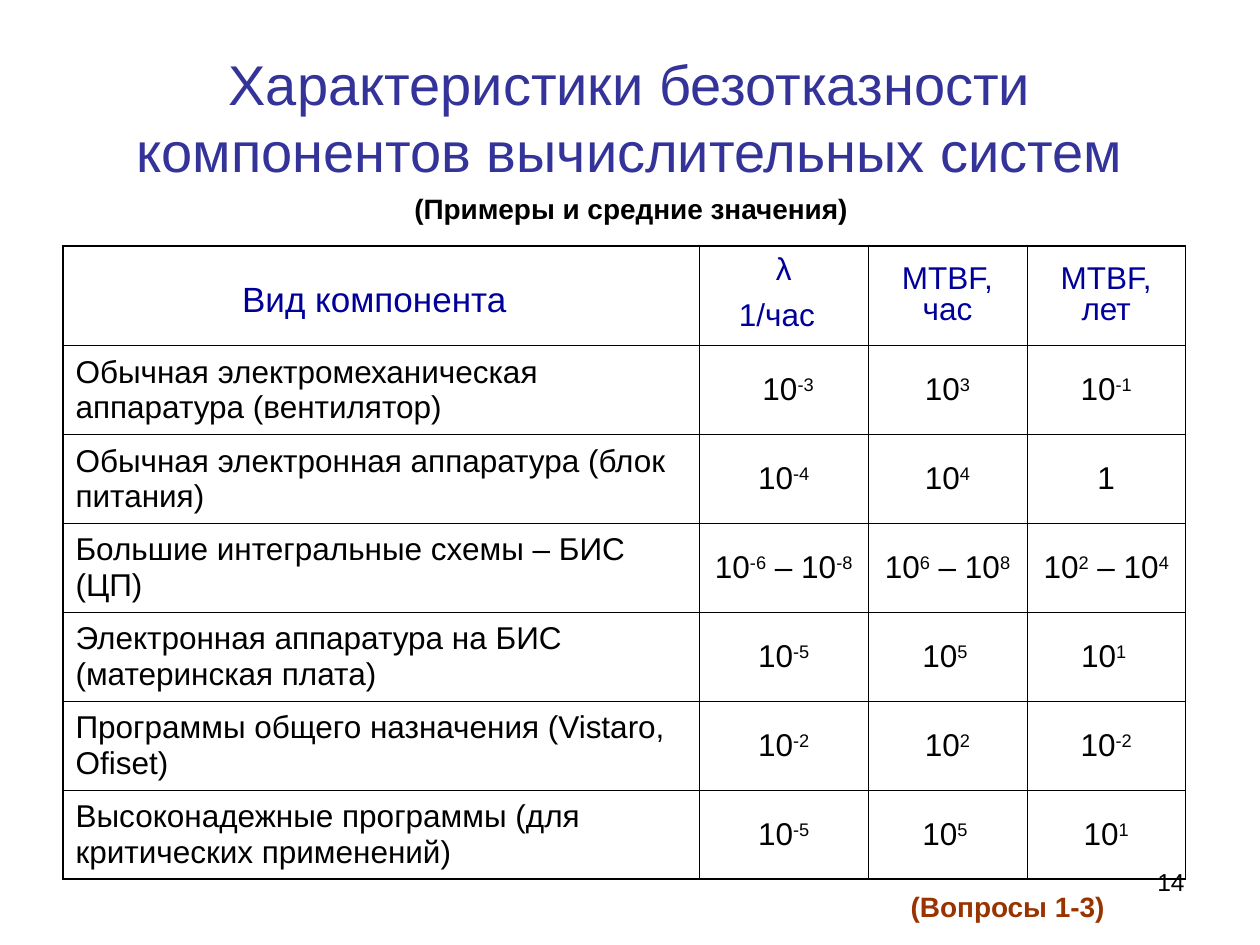
import pptx
import pptx.dml.color
import pptx.enum.text
import pptx.oxml
import pptx.oxml.ns
import pptx.util
from pptx.util import Inches

ALIGN = pptx.enum.text.PP_ALIGN
MIDDLE = pptx.enum.text.MSO_ANCHOR.MIDDLE
BLACK, NAVY = "000000", "000099"
THIN, THICK = 0.45, 1.08

COLS = [5.05, 1.34, 1.26, 1.26]
HEAD_H, BODY_H = 0.79, 4.24
# Each heading: lines, size, size of the closing space on the last line
HEADS = [
    (["Вид компонента"], 20, 28),
    (["λ", "1/час"], 18, 28),
    (["MTBF,", "час"], 18, None),
    (["MTBF,", "лет"], 18, None),
]
# Text between carets is superscript
ROWS = [
    ("Обычная электромеханическая аппаратура (вентилятор)", " 10^-3", "10^3", "10^-1"),
    ("Обычная электронная аппаратура (блок питания)", "10^-4", "10^4", "1"),
    ("Большие интегральные схемы – БИС (ЦП)",
     "10^-6^ – 10^-8", "10^6^ – 10^8", "10^2^ – 10^4"),
    ("Электронная аппаратура на БИС (материнская плата)", "10^-5", "10^5 ", "10^1 "),
    ("Программы общего назначения (Vistaro, Ofiset)", "10^-2", "10^2", "10^-2"),
    ("Высоконадежные программы (для критических применений)", "10^-5", "10^5 ", "10^1"),
]


def paint(color, value):
    color.rgb = pptx.dml.color.RGBColor.from_string(value)


def add_run(para, text, size, color, bold=False, raised=False):
    run = para.add_run()
    run.text = text
    font = run.font
    font.name, font.size, font.bold = "Arial", pptx.util.Pt(size), bold
    paint(font.color, color)
    if raised:
        font._element.set("baseline", "30000")


def add_label(slide, text, box, size, color, bold=True, align=ALIGN.LEFT, gap=10):
    frame = slide.shapes.add_textbox(*map(Inches, box)).text_frame
    frame.word_wrap = True
    para = frame.paragraphs[0]
    para.alignment, para.space_before = align, pptx.util.Pt(gap)
    add_run(para, text, size, color, bold)


def set_title(slide, text):
    title = slide.shapes.title
    title.left, title.top, title.width, title.height = map(Inches, (0.5, 0.3, 9, 1.25))
    frame = title.text_frame
    frame.word_wrap, frame.vertical_anchor = True, MIDDLE
    frame.auto_size = pptx.enum.text.MSO_AUTO_SIZE.NONE
    para = frame.paragraphs[0]
    para.alignment = ALIGN.CENTER
    add_run(para, text, 32, "333399")


def set_edges(cell, widths):
    """Draw the left, right, top and bottom borders, in that order."""
    props = cell._tc.get_or_add_tcPr()
    for i, (side, width) in enumerate(zip("LRTB", widths)):
        line = pptx.oxml.parse_xml(
            f'<a:ln{side} {pptx.oxml.ns.nsdecls("a")} w="{pptx.util.Pt(width)}">'
            f'<a:solidFill><a:srgbClr val="{BLACK}"/></a:solidFill></a:ln{side}>')
        props.insert(i, line)


def fill_head(cell, lines, size, tail):
    frame = cell.text_frame
    for i, text in enumerate(lines):
        para = frame.add_paragraph() if i else frame.paragraphs[0]
        para.alignment = ALIGN.CENTER
        if len(lines) > 1:
            para.line_spacing = 0.9
        else:
            para.space_before = pptx.util.Pt(7)
        add_run(para, text, size, NAVY)
    if tail:
        add_run(para, " ", tail, NAVY)


def fill_body(cell, text, align):
    para = cell.text_frame.paragraphs[0]
    para.alignment, para.space_before = align, pptx.util.Pt(4.5)
    for i, part in enumerate(text.split("^")):
        add_run(para, part, 18, BLACK, raised=i % 2 == 1)


def add_grid(slide):
    count, last = len(ROWS) + 1, len(COLS) - 1
    table = slide.shapes.add_table(
        count, len(COLS), Inches(0.5), Inches(1.95),
        Inches(sum(COLS)), Inches(HEAD_H + BODY_H)).table
    table.first_row = table.horz_banding = False
    for col, width in zip(table.columns, COLS):
        col.width = Inches(width)
    for r, row in enumerate(table.rows):
        row.height = Inches(BODY_H / len(ROWS) if r else HEAD_H)
        for c, cell in enumerate(row.cells):
            cell.vertical_anchor = MIDDLE
            cell.margin_left = cell.margin_right = Inches(0.1)
            cell.margin_top = cell.margin_bottom = Inches(0.05)
            cell.fill.background()
            outer = (c == 0, c == last, r == 0, r == count - 1)
            set_edges(cell, [THICK if edge else THIN for edge in outer])
            if r:
                fill_body(cell, ROWS[r - 1][c], ALIGN.CENTER if c else ALIGN.LEFT)
            else:
                fill_head(cell, *HEADS[c])


def main():
    deck = pptx.Presentation()
    deck.slide_width, deck.slide_height = Inches(10), Inches(7.5)
    slide = deck.slides.add_slide(deck.slide_layouts[5])
    set_title(slide, "Характеристики безотказности компонентов вычислительных систем")
    add_grid(slide)
    add_label(slide, "(Примеры и средние значения)", (3.19, 1.47, 4.17, 0.37), 16, BLACK)
    add_label(slide, "(Вопросы 1-3)", (7.13, 7.01, 1.97, 0.37), 16, "993300")
    add_label(slide, "14", (7.17, 6.83, 2.33, 0.52), 14, BLACK,
              bold=False, align=ALIGN.RIGHT, gap=0)
    deck.save("out.pptx")


if __name__ == "__main__":
    main()
